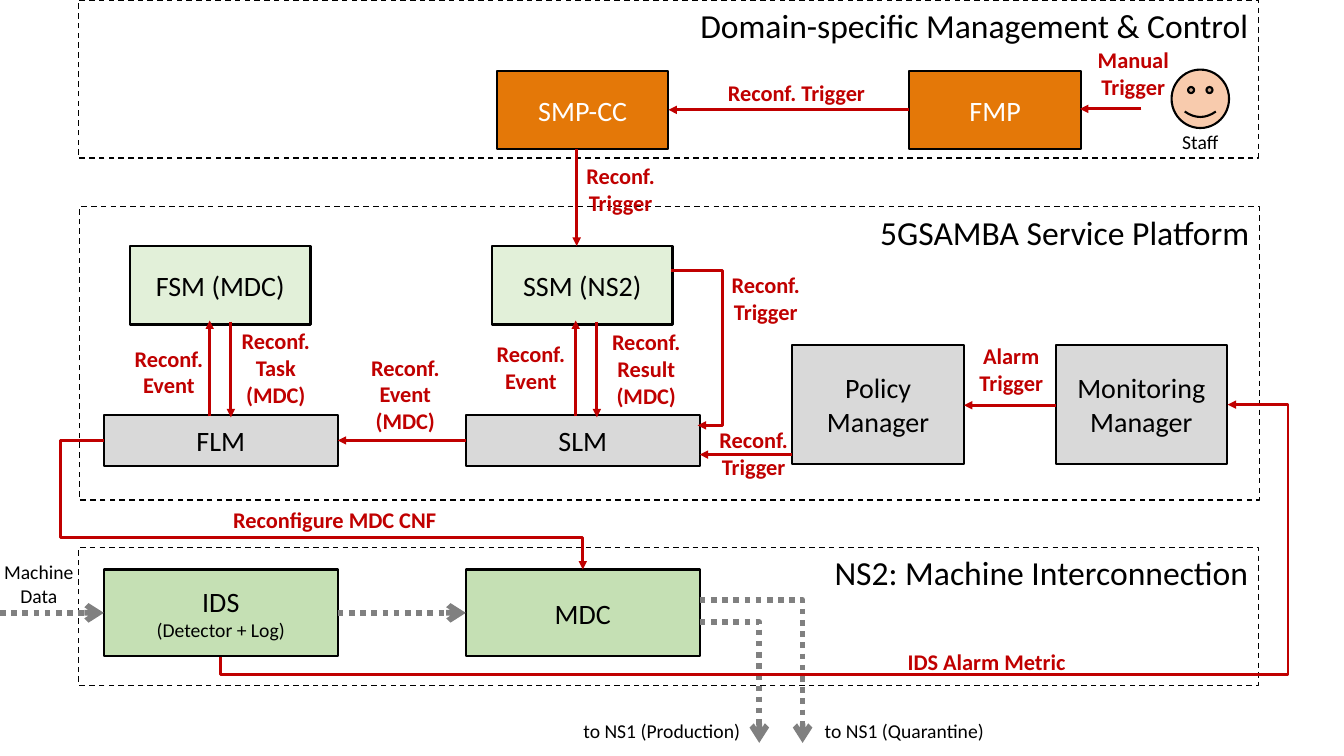
"""Draw the reconfiguration flow between control, platform and service zones."""
from dataclasses import dataclass
from typing import NamedTuple

from lxml.etree import SubElement
from pptx import Presentation
from pptx.dml.color import RGBColor
from pptx.enum.dml import MSO_LINE
from pptx.enum.shapes import MSO_CONNECTOR, MSO_SHAPE
from pptx.enum.text import MSO_ANCHOR, MSO_AUTO_SIZE, PP_ALIGN
from pptx.oxml.ns import qn
from pptx.util import Inches, Pt


@dataclass(frozen=True)
class Theme:
    """Hold the colours, font and type sizes."""
    font: str = "Calibri"
    black: str = "000000"
    white: str = "FFFFFF"
    orange: str = "E47808"
    mint: str = "E2F0D9"
    green: str = "C5E0B4"
    gray: str = "D9D9D9"
    skin: str = "F8CBAD"
    red: str = "C00000"
    dark: str = "808080"
    title: int = 24
    body: int = 20
    label: int = 16
    small: int = 14


class Area(NamedTuple):
    """Place a block in grid columns and rows."""
    col: float
    row: float
    wide: float
    high: float


class Box(NamedTuple):
    """Describe a filled component."""
    text: str
    area: Area
    fill: str
    ink: str = Theme.black


class Zone(NamedTuple):
    """Describe a dashed frame with its title."""
    text: str
    area: Area


class Note(NamedTuple):
    """Describe a free label."""
    text: str
    area: Area
    wrap: bool = False


class Pen(NamedTuple):
    """Describe the stroke and tip of an arrow."""
    color: str
    width: float
    dash: MSO_LINE
    tip: str


class Flow(NamedTuple):
    """Describe a straight arrow between two points."""
    start: tuple[float, float]
    end: tuple[float, float]


class Bend(NamedTuple):
    """Describe an elbow arrow by its frame, legs, turn, flips and bend shares."""
    area: Area
    legs: int
    turn: int = 0
    flips: str = ""
    shares: tuple[float, ...] = ()


COLS, ROWS = 133.3, 75
LEFT, MID, WIDE = 10.3, 46.2, 23.2
look = Theme()
deck = Presentation()
deck.slide_width, deck.slide_height = Inches(13.33), Inches(7.5)
slide = deck.slides.add_slide(deck.slide_layouts[6])


def across(cols: float) -> int:
    """Turn columns into a length."""
    return round(deck.slide_width * cols / COLS)


def down(rows: float) -> int:
    """Turn rows into a length."""
    return round(deck.slide_height * rows / ROWS)


def place(area: Area) -> tuple[int, int, int, int]:
    """Turn a grid area into lengths."""
    return across(area.col), down(area.row), across(area.wide), down(area.high)


def write(shape, text: str, *, size: int, ink: str = look.black, bold: bool = False,
          align=PP_ALIGN.CENTER, anchor=MSO_ANCHOR.TOP, wrap: bool = True,
          grow: bool = False, rest: int | None = None) -> None:
    """Fill a shape with formatted lines; rest sizes the lines after the first."""
    frame = shape.text_frame
    frame.text = text
    frame.word_wrap, frame.vertical_anchor = wrap, anchor
    frame.auto_size = MSO_AUTO_SIZE.SHAPE_TO_FIT_TEXT if grow else MSO_AUTO_SIZE.NONE
    for rank, para in enumerate(frame.paragraphs):
        para.alignment = align
        font = para.runs[0].font
        font.name, font.bold = look.font, bold
        font.size = Pt(rest if rank and rest else size)
        font.color.rgb = RGBColor.from_string(ink)


def block(area: Area, kind=MSO_SHAPE.RECTANGLE, fill: str | None = None, width: float = 1.5):
    """Add a shape with a black outline."""
    shape = slide.shapes.add_shape(kind, *place(area))
    shape.shadow.inherit = False
    if fill:
        shape.fill.solid()
        shape.fill.fore_color.rgb = RGBColor.from_string(fill)
    else:
        shape.fill.background()
    shape.line.color.rgb = RGBColor.from_string(look.black)
    shape.line.width = Pt(width)
    return shape


def label(note: Note, **style) -> None:
    """Add a text box for a note."""
    write(slide.shapes.add_textbox(*place(note.area)), note.text,
          wrap=note.wrap, grow=True, **style)


def link(kind, area: Area, pen: Pen):
    """Add a connector with a tip and return its properties."""
    left, top, wide, high = place(area)
    wire = slide.shapes.add_connector(kind, left, top, left + wide, top + high)
    wire.line.color.rgb = RGBColor.from_string(pen.color)
    wire.line.width, wire.line.dash_style = Pt(pen.width), pen.dash
    props = wire._element.spPr
    SubElement(props.find(qn("a:ln")), qn("a:tailEnd"), type=pen.tip)
    SubElement(props, qn("a:effectLst"))
    return props


def flow(item: Flow, pen: Pen) -> None:
    """Draw a straight arrow."""
    (col, row), (far, low) = item
    link(MSO_CONNECTOR.STRAIGHT, Area(col, row, far - col, low - row), pen)


def bend(item: Bend, pen: Pen) -> None:
    """Draw an elbow arrow."""
    props = link(MSO_CONNECTOR.ELBOW, item.area, pen)
    frame, geom = props.find(qn("a:xfrm")), props.find(qn("a:prstGeom"))
    frame.set("rot", str(item.turn * 60000))
    for flip in item.flips:
        frame.set("flip" + flip, "1")
    geom.set("prst", f"bentConnector{item.legs}")
    for rank, share in enumerate(item.shares, 1):
        SubElement(geom.find(qn("a:avLst")), qn("a:gd"), name=f"adj{rank}",
                   fmla=f"val {round(share * 100000)}")


boxes = [
    Box("FMP", Area(90.2, 7, 17, 7.8), look.orange, look.white),
    Box("SMP-CC", Area(49.3, 7, 17, 7.8), look.orange, look.white),
    Box("FSM (MDC)", Area(12.9, 24.4, 17.9, 7.8), look.mint),
    Box("SSM (NS2)", Area(48.8, 24.4, 17.9, 7.8), look.mint),
    Box("FLM", Area(LEFT, 41.2, WIDE, 5), look.gray),
    Box("SLM", Area(MID, 41.2, WIDE, 5), look.gray),
    Box("Policy Manager", Area(78.6, 34.2, 17, 11.8), look.gray),
    Box("Monitoring Manager", Area(104.7, 34.2, 17, 11.8), look.gray),
    Box("IDS\n(Detector + Log)", Area(LEFT, 56.5, WIDE, 8.6), look.green),
    Box("MDC", Area(MID, 56.5, WIDE, 8.6), look.green),
]
zones = [
    Zone("5GSAMBA Service Platform", Area(7.9, 20.5, 117, 29.1)),
    Zone("NS2: Machine Interconnection", Area(7.8, 54.3, 117, 13.7)),
    Zone("Domain-specific Management & Control", Area(7.8, 0, 117, 15.7)),
]
plain = [
    Note("to NS1 (Production)", Area(56.8, 70.8, 17.7, 3.4)),
    Note("to NS1 (Quarantine)", Area(80.7, 70.8, 18, 3.4)),
    Note("Machine Data", Area(-0.9, 55.1, 9.5, 5.7), True),
    Note("Staff", Area(116.2, 12.4, 5.7, 3.4)),
]
strong = [
    Note("IDS Alarm Metric", Area(88.9, 63.8, 17.9, 3.7)),
    Note("Alarm Trigger", Area(95.7, 33.5, 9.2, 6.4), True),
    Note("Manual\nTrigger", Area(107.8, 4.1, 9.2, 6.4)),
    Note("Reconf. Trigger", Area(71.1, 7.4, 15.8, 3.7)),
    Note("Reconf.\nResult\n(MDC)", Area(59.1, 32.1, 10, 9.1), True),
    Note("Reconf.\nEvent\n(MDC)", Area(35.2, 34.6, 10, 9.1), True),
    Note("Reconf.\nTask\n(MDC)", Area(22.9, 32, 8.9, 9.1)),
    Note("Reconfigure MDC CNF", Area(22, 49.7, 22.4, 3.7)),
]
strong += [Note("Reconf.\nTrigger", Area(col, row, 8.9, 6.4))
           for col, row in ((70.3, 41.8), (71.5, 26.4), (57.1, 15.6))]
strong += [Note("Reconf.\nEvent", Area(col, row, 8.9, 6.4))
           for col, row in ((48.2, 33.3), (12.3, 33.7))]
data = Pen(look.dark, 4, MSO_LINE.ROUND_DOT, "arrow")
signal = Pen(look.red, 2, MSO_LINE.SOLID, "triangle")
routes = {
    data: [Flow((0, 60.8), (LEFT, 60.8)), Flow((LEFT + WIDE, 60.8), (MID, 60.8))],
    signal: [
        Flow((104.7, 40.2), (95.6, 40.2)), Flow((78.6, 45.1), (MID + WIDE, 45.1)),
        Flow((113.2, 10.8), (107.1, 10.8)), Flow((90.2, 10.9), (66.3, 10.9)),
        Flow((57.2, 14.8), (57.2, 24.4)), Flow((MID, 43.7), (LEFT + WIDE, 43.7)),
        *(Flow((col, 41.3), (col, 31.8)) for col in (20.8, 57.1)),
        *(Flow((col, 31.9), (col, 41.4)) for col in (22.9, 59.2)),
    ],
}
bends = {
    data: [Bend(Area(69.4, 61.7, 5.9, 12), 2),
           Bend(Area(67.4, 61.5, 14.2, 10.2), 3, 270, "H", (0,))],
    signal: [Bend(Area(59.3, 2.7, 25, 99.9), 4, 90, "HV", (-0.07, 1.06)),
             Bend(Area(66.6, 26.8, 2.6, 15.4), 3, 0, "", (1.95,)),
             Bend(Area(10.3, 43.7, 47.5, 12.8), 4, 180, "HV", (-0.09, 0.75))],
}

for box in boxes:
    write(block(box.area, fill=box.fill), box.text, size=look.body, ink=box.ink,
          anchor=MSO_ANCHOR.MIDDLE, rest=look.small)
block(Area(116.2, 6.9, 5.7, 5.8), MSO_SHAPE.SMILEY_FACE, look.skin)
for zone in zones:
    rim = block(zone.area, width=1)
    rim.line.dash_style = MSO_LINE.DASH
    write(rim, zone.text, size=look.title, align=PP_ALIGN.RIGHT)
for pen in (data, signal):
    for item in routes[pen]:
        flow(item, pen)
    for item in bends[pen]:
        bend(item, pen)
for note in plain:
    label(note, size=look.small)
for note in strong:
    label(note, size=look.label, ink=look.red, bold=True)
deck.save("out.pptx")
